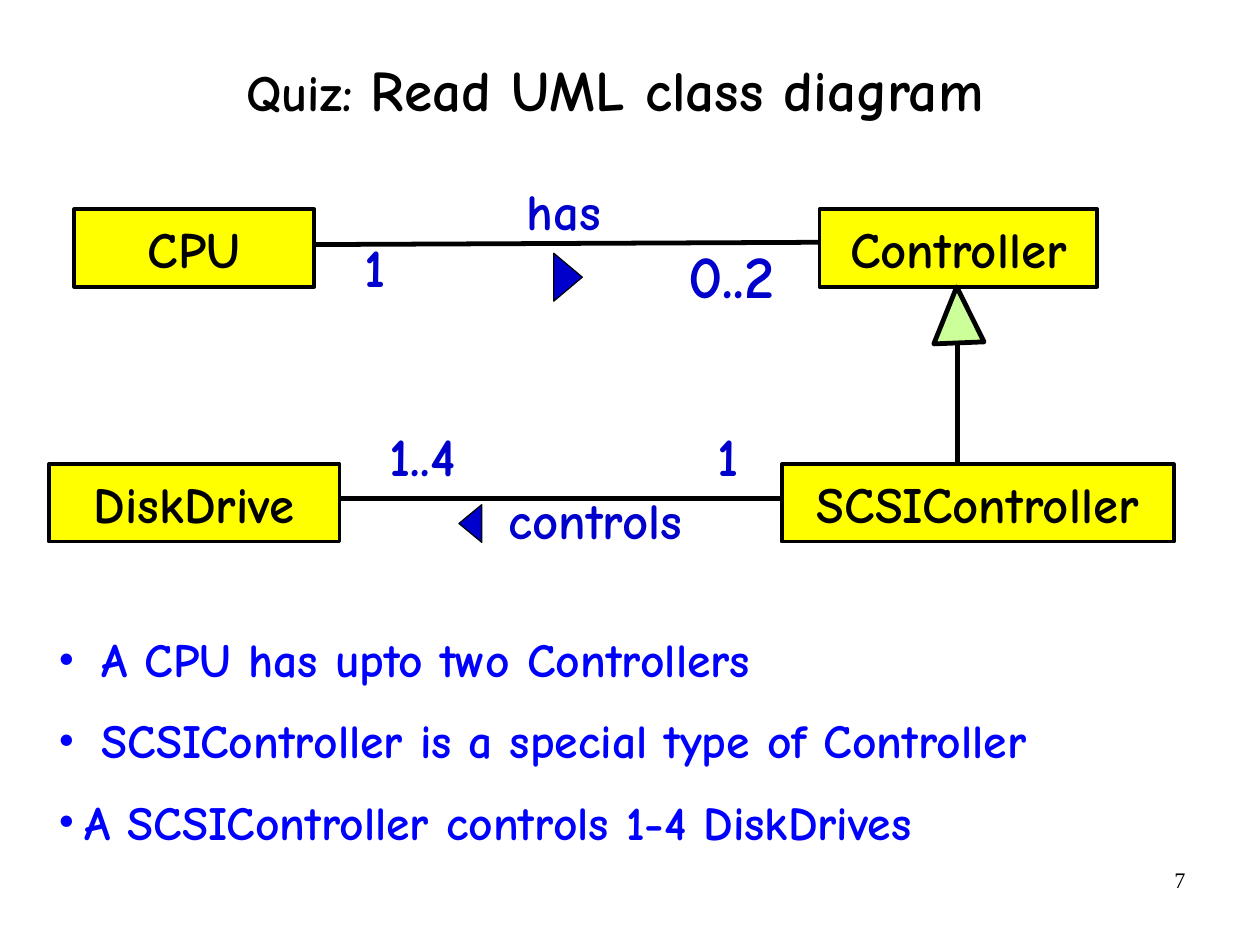
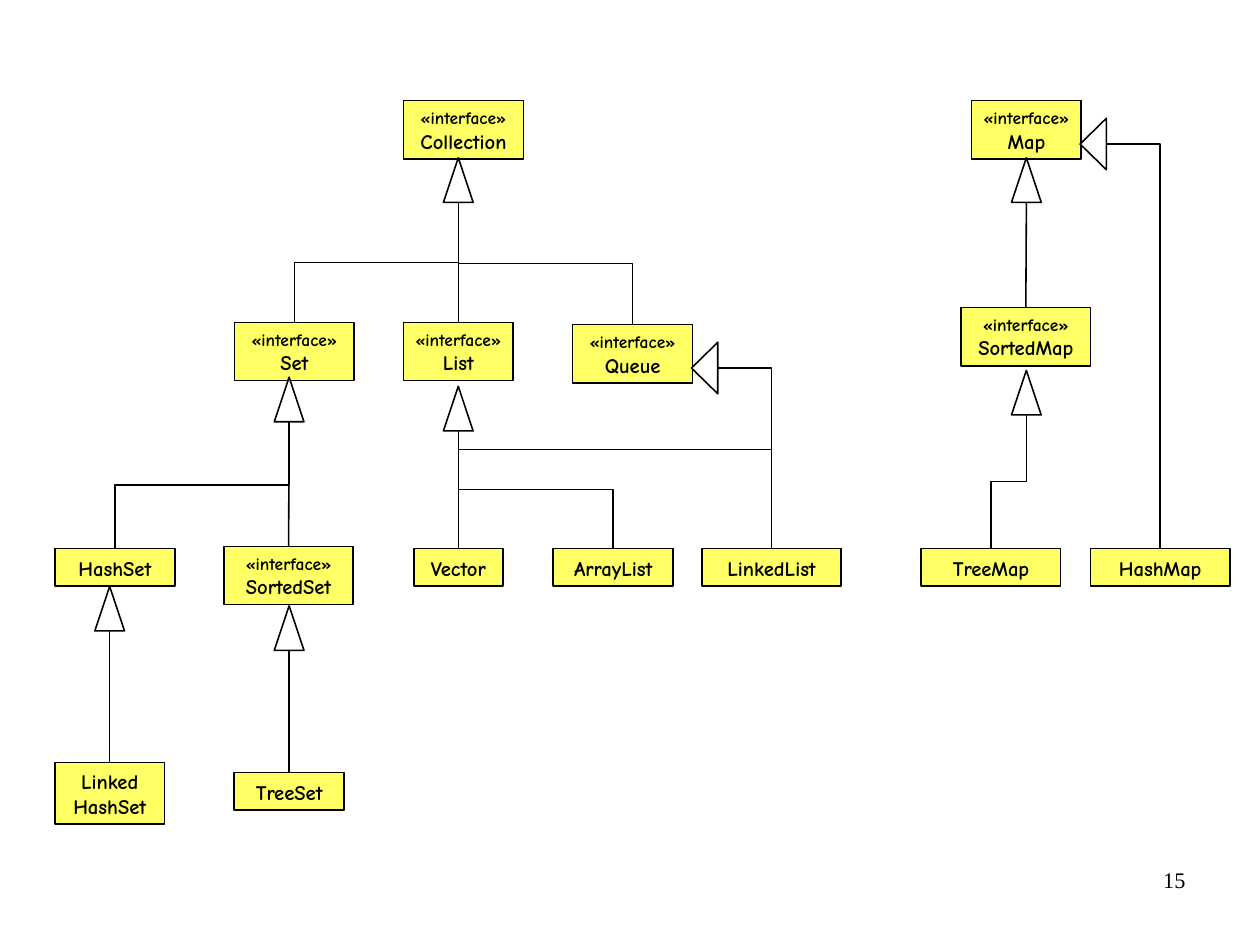
from copy import deepcopy

from lxml import etree
from pptx import Presentation
from pptx import util as u
from pptx.dml.color import RGBColor
from pptx.enum import shapes, text
from pptx.oxml.ns import qn

COMIC, SERIF = "Comic Neue", "Times New Roman"
BLACK, WHITE, BLUE, LABEL_BLUE = "000000", "FFFFFF", "0000FF", "0000CC"
BRIGHT_YELLOW, SOFT_YELLOW, GREEN = "FFFF00", "FFFF66", "CCFF99"
LEFT, CENTER, RIGHT = text.PP_ALIGN.LEFT, text.PP_ALIGN.CENTER, text.PP_ALIGN.RIGHT
TOP, MIDDLE = text.MSO_ANCHOR.TOP, text.MSO_ANCHOR.MIDDLE
HEAD_WIDTH, HEAD_HEIGHT = 0.26, 0.39
SIDE_WIDTH, SIDE_HEIGHT = 0.45, 0.23


def inches(*lengths):
    return [u.Inches(length) for length in lengths]


def color(value):
    return RGBColor.from_string(value)


def add_bullet(paragraph, hex_color, indent):
    props = paragraph._p.get_or_add_pPr()
    props.set("marL", str(u.Inches(indent)))
    props.set("indent", str(-u.Inches(indent)))
    tint = etree.SubElement(props, qn("a:buClr"))
    etree.SubElement(tint, qn("a:srgbClr"), val=hex_color)
    etree.SubElement(props, qn("a:buFont"), typeface=SERIF)
    etree.SubElement(props, qn("a:buChar"), char="•")


def add_run(paragraph, words, size, font, ink, bold):
    for index, line in enumerate(words.split("\n")):
        if index:
            paragraph.add_line_break()
            paragraph._p[-1].append(deepcopy(run._r.rPr))
        run = paragraph.add_run()
        run.text = line
        run.font.size = u.Pt(size)
        run.font.name = font
        run.font.bold = bold
        run.font.color.rgb = color(ink)


def write(shape, paragraphs, size=13, font=COMIC, ink=BLACK, bold=True, align=LEFT,
          anchor=TOP, inset=(0, 0), wrap=True, spacing=None, before=0, indents=None):
    frame = shape.text_frame
    frame.word_wrap = wrap
    frame.vertical_anchor = anchor
    frame.margin_left = frame.margin_right = u.Inches(inset[0])
    frame.margin_top = frame.margin_bottom = u.Inches(inset[1])
    for index, runs in enumerate(paragraphs):
        paragraph = frame.paragraphs[0] if index == 0 else frame.add_paragraph()
        paragraph.alignment = align
        if spacing:
            paragraph.line_spacing = spacing
        if index and before:
            paragraph.space_before = u.Pt(before)
        if indents:
            add_bullet(paragraph, ink, indents[index])
        for words, run_size in ([(runs, size)] if isinstance(runs, str) else runs):
            add_run(paragraph, words, run_size, font, ink, bold)


def add_text(slide, box, paragraphs, **style):
    write(slide.shapes.add_textbox(*inches(*box)), paragraphs, **style)


def add_figure(slide, preset, box, fill, line_width, rotation=0):
    figure = slide.shapes.add_shape(preset, *inches(*box))
    figure.shadow.inherit = False
    figure.fill.solid()
    figure.fill.fore_color.rgb = color(fill)
    figure.line.color.rgb = color(BLACK)
    figure.line.width = u.Pt(line_width)
    figure.rotation = rotation
    return figure


def add_rectangle(slide, *args):
    return add_figure(slide, shapes.MSO_SHAPE.RECTANGLE, *args)


def add_triangle(slide, *args):
    return add_figure(slide, shapes.MSO_SHAPE.ISOSCELES_TRIANGLE, *args)


def add_line(slide, start, end, width, kind=shapes.MSO_CONNECTOR.STRAIGHT):
    line = slide.shapes.add_connector(kind, *inches(*start, *end))
    line.line.color.rgb = color(BLACK)
    line.line.width = u.Pt(width)
    etree.SubElement(line._element.spPr, qn("a:effectLst"))
    return line


def add_elbow(slide, start, end, bend=None):
    (x1, y1), (x2, y2) = start, end
    rise, run = abs(y2 - y1), abs(x2 - x1)
    left, top = (x1 + x2 - rise) / 2, (y1 + y2 - run) / 2
    elbow = add_line(slide, (left, top), (left + rise, top + run), 1,
                     shapes.MSO_CONNECTOR.ELBOW)
    props = elbow._element.spPr
    frame, geometry = props.find(qn("a:xfrm")), props.find(qn("a:prstGeom"))
    frame.set("flipV", "1")
    if x1 > x2:
        frame.set("rot", str(270 * 60000))
    else:
        frame.set("rot", str(90 * 60000))
        frame.set("flipH", "1")
    if bend is None:
        geometry.set("prst", "bentConnector2")
    else:
        guides = geometry.find(qn("a:avLst"))
        if guides is None:
            guides = etree.SubElement(geometry, qn("a:avLst"))
        etree.SubElement(guides, qn("a:gd"), name="adj1", fmla=f"val {round(bend * 100000)}")


def new_slide(deck, number):
    slide = deck.slides.add_slide(deck.slide_layouts[6])
    slide.background.fill.solid()
    slide.background.fill.fore_color.rgb = color(WHITE)
    add_text(slide, (7.9, 7.53, 2.57, 0.57), [number], size=14, font=SERIF,
             bold=False, align=RIGHT, inset=(0.1, 0.05))
    return slide


def controller_diagram(slide, left, top):
    def place(x, y, *size):
        return (left + x, top + y, *size)

    for name, x, y, width in (("CPU", 0.22, 0.2, 2.1), ("Controller", 6.74, 0.2, 2.43),
                              ("SCSIController", 6.41, 2.43, 3.43),
                              ("DiskDrive", 0, 2.43, 2.54)):
        box = add_rectangle(slide, place(x, y, width, 0.68), BRIGHT_YELLOW, 2.25)
        write(box, [name], size=32, align=CENTER, anchor=MIDDLE,
              inset=(0.11, 0.06), wrap=False)
    add_triangle(slide, place(7.73, 0.88, 0.44, 0.49), GREEN, 3, 357.7)
    for start, end in (((7.95, 1.37), (7.95, 2.43)), ((2.32, 0.51), (6.74, 0.49)),
                       ((2.54, 2.73), (6.41, 2.73))):
        add_line(slide, place(*start), place(*end), 3)
    for count, x, y, size in (("1", 2.76, 0.41, 34), ("0..2", 5.59, 0.45, 38),
                              ("1..4", 2.98, 2.07, 34), ("1", 5.85, 2.07, 34)):
        add_text(slide, place(x, y, 1, 0.6), [count], size=size, ink=LABEL_BLUE)
    for role, x, y, width in (("controls", 3.92, 2.7, 2.17), ("has", 4.08, 0, 1.16)):
        add_text(slide, place(x, y, width, 0.53), [role], size=32, ink=LABEL_BLUE,
                 inset=(0.1, 0.05), spacing=0.8)
    add_triangle(slide, place(3.52, 2.85, 0.33, 0.2), LABEL_BLUE, 0.75, 270)
    add_triangle(slide, place(4.33, 0.67, 0.42, 0.25), LABEL_BLUE, 0.75, 90)


def quiz_slide(deck):
    slide = new_slide(deck, "7")
    add_text(slide, (0.76, 0.13, 9.4, 1.37),
             [[("Quiz: ", 32), ("Read UML class diagram", 36), (" ", 32)]],
             align=CENTER, anchor=MIDDLE, spacing=0.88)
    add_text(slide, (0.4, 5.51, 10.56, 1.98),
             ["A CPU has upto two Controllers",
              "SCSIController is a special type of Controller",
              "A SCSIController controls 1-4 DiskDrives"],
             size=30, ink=BLUE, inset=(0.11, 0.06), spacing=0.9, before=18.7,
             indents=(0.38, 0.38, 0.23))
    controller_diagram(slide, 0.43, 1.63)


def class_tree(slide, left, top, interfaces, classes, heads, side_heads, links, side_links):
    boxes, tops = {}, {}
    for group, caption in ((interfaces, [[("«interface»", 11)]]), (classes, [])):
        for name, (x, y, width) in group.items():
            height = 0.51 if caption else 0.33 + 0.21 * name.count("\n")
            box = add_rectangle(slide, (left + x, top + y, width, height), SOFT_YELLOW, 1)
            write(box, caption + [name], align=CENTER, inset=(0, 0.06))
            boxes[name] = box
            tops[name] = (left + x + width / 2, top + y)
    bases, side_bases = {}, {}
    for name, (x, y) in heads.items():
        add_triangle(slide, (left + x - HEAD_WIDTH / 2, top + y, HEAD_WIDTH, HEAD_HEIGHT),
                     WHITE, 1)
        bases[name] = (left + x, top + y + HEAD_HEIGHT)
    for name, (x, y) in side_heads.items():
        add_triangle(slide, (left + x + (SIDE_HEIGHT - SIDE_WIDTH) / 2,
                             top + y - SIDE_HEIGHT / 2, SIDE_WIDTH, SIDE_HEIGHT),
                     WHITE, 1, 270)
        side_bases[name] = (left + x + SIDE_HEIGHT, top + y)
    for child, parent, bend in links:
        if abs(tops[child][0] - bases[parent][0]) < 0.02:
            add_line(slide, tops[child], bases[parent], 1).begin_connect(boxes[child], 0)
        else:
            add_elbow(slide, tops[child], bases[parent], bend)
    for child, parent in side_links:
        add_elbow(slide, tops[child], side_bases[parent])


def collections_slide(deck):
    slide = new_slide(deck, "15")
    class_tree(
        slide, 0.48, 0.88,
        interfaces={"Collection": (3.05, 0, 1.05), "Set": (1.57, 1.94, 1.05),
                    "List": (3.05, 1.94, 0.96), "Queue": (4.53, 1.96, 1.05),
                    "SortedSet": (1.48, 3.9, 1.13)},
        classes={"TreeSet": (1.57, 5.88, 0.96), "HashSet": (0, 3.92, 1.05),
                 "Linked\nHashSet": (0, 5.79, 0.96), "Vector": (3.14, 3.92, 0.78),
                 "ArrayList": (4.36, 3.92, 1.05), "LinkedList": (5.66, 3.92, 1.22)},
        heads={"Collection": (3.53, 0.5), "Set": (2.05, 2.42), "List": (3.53, 2.5),
               "HashSet": (0.48, 4.25), "SortedSet": (2.05, 4.42)},
        side_heads={"Queue": (5.57, 2.34)},
        links=[("List", "Collection", 0.5), ("Queue", "Collection", 0.5),
               ("Set", "Collection", 0.5), ("SortedSet", "Set", 0.5),
               ("HashSet", "Set", 0.5), ("Vector", "List", 0.5),
               ("ArrayList", "List", 0.5), ("LinkedList", "List", 0.84),
               ("Linked\nHashSet", "HashSet", 0.5), ("TreeSet", "SortedSet", 0.5)],
        side_links=[("LinkedList", "Queue")])
    class_tree(
        slide, 8.06, 0.88,
        interfaces={"Map": (0.44, 0, 0.96), "SortedMap": (0.35, 1.81, 1.13)},
        classes={"TreeMap": (0, 3.92, 1.22), "HashMap": (1.48, 3.92, 1.22)},
        heads={"Map": (0.92, 0.5), "SortedMap": (0.92, 2.36)},
        side_heads={"Map": (1.39, 0.38)},
        links=[("SortedMap", "Map", 0.5), ("TreeMap", "SortedMap", 0.5)],
        side_links=[("HashMap", "Map")])


def main():
    deck = Presentation()
    deck.slide_width = u.Inches(28 / 2.54)
    deck.slide_height = u.Inches(21 / 2.54)
    quiz_slide(deck)
    collections_slide(deck)
    deck.save("out.pptx")


if __name__ == "__main__":
    main()
